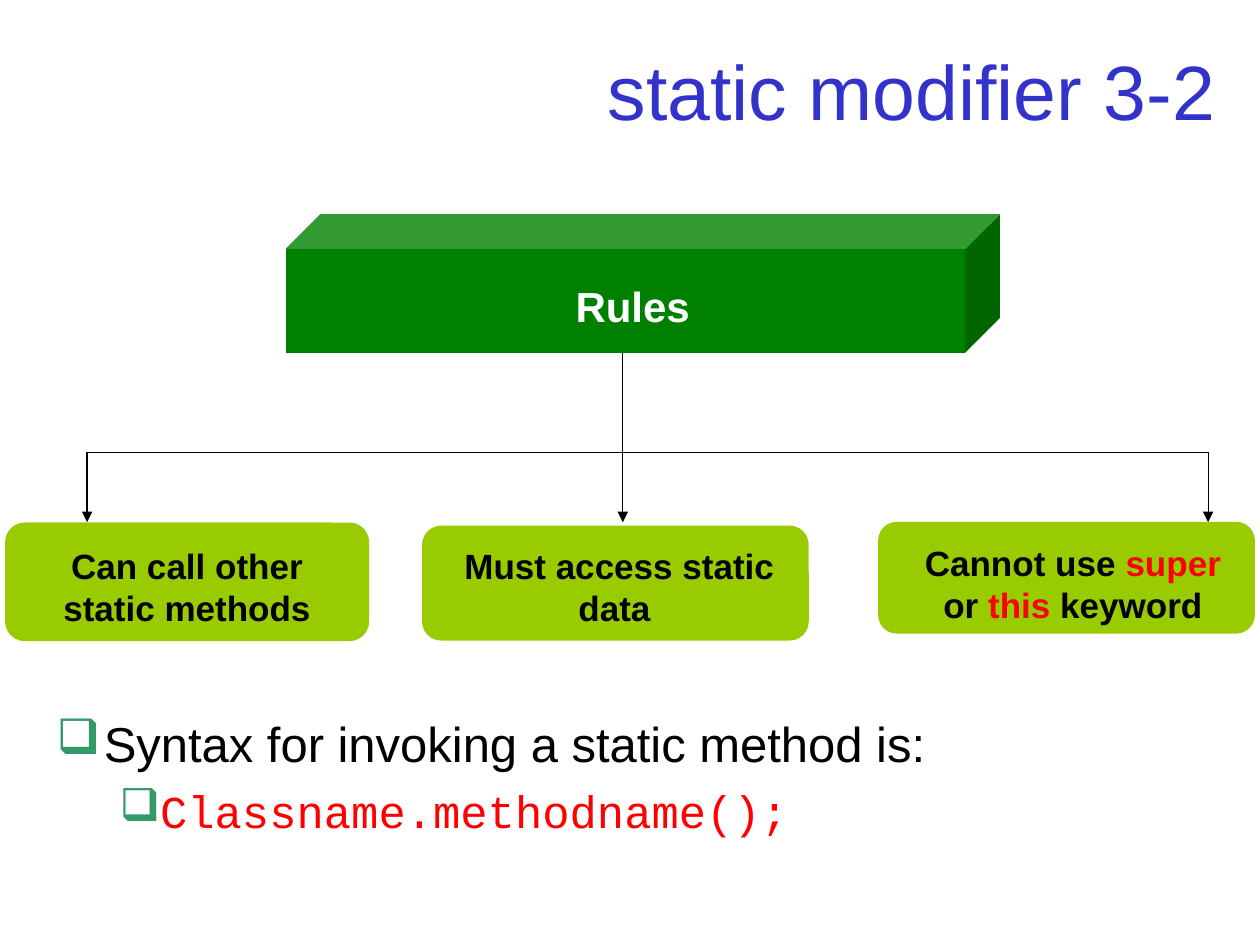
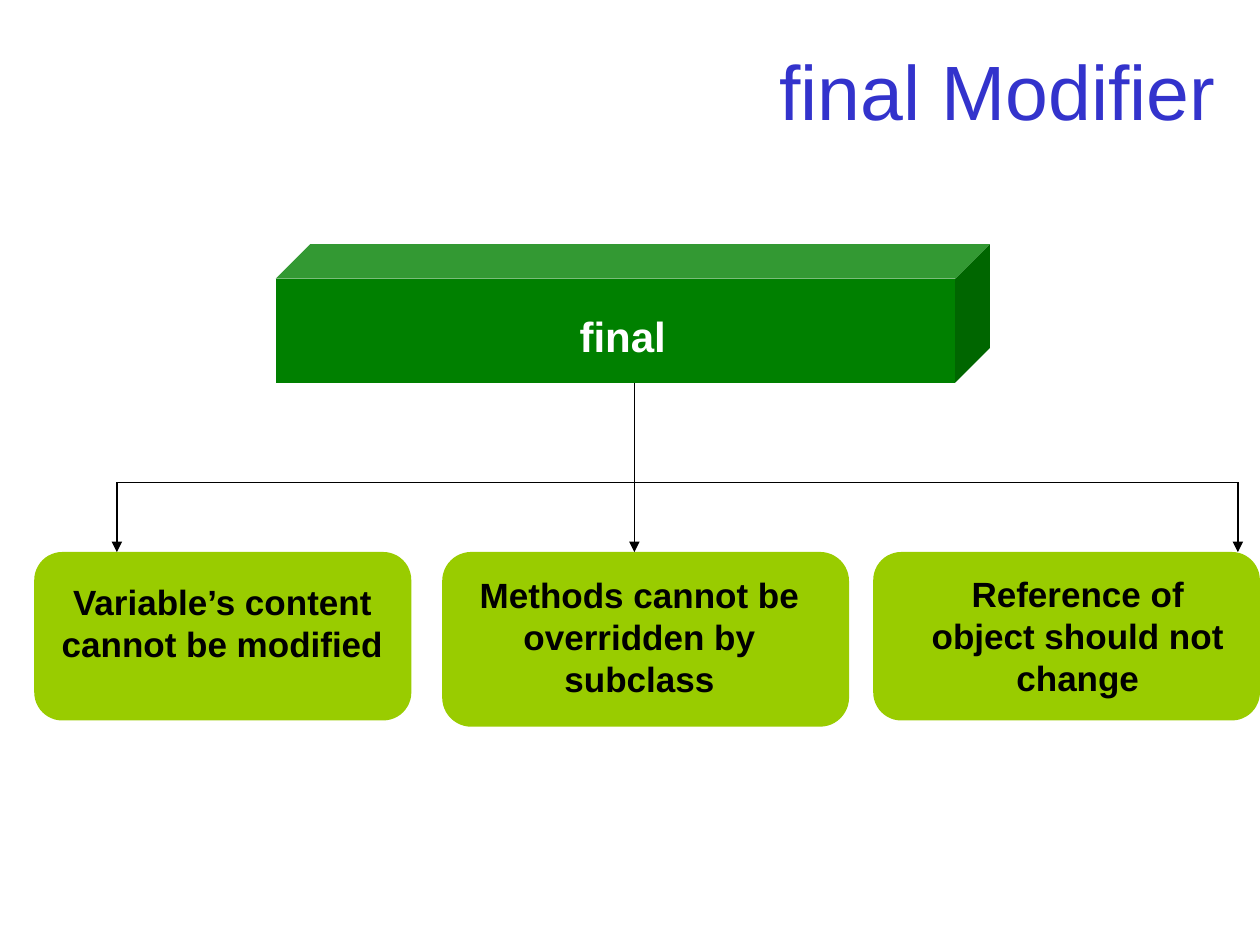
from lxml import etree
from pptx import Presentation
from pptx.dml.color import RGBColor
from pptx.enum.shapes import MSO_CONNECTOR, MSO_SHAPE
from pptx.enum.text import MSO_ANCHOR, PP_ALIGN
from pptx.oxml.ns import qn
from pptx.util import Pt

BLUE = RGBColor(0x33, 0x33, 0xCC)
GREEN = RGBColor(0x00, 0x80, 0x00)
LIME = RGBColor(0x99, 0xCC, 0x00)
TEAL = RGBColor(0x33, 0x99, 0x66)
RED = RGBColor(0xFF, 0x00, 0x00)
BLACK = RGBColor(0x00, 0x00, 0x00)
WHITE = RGBColor(0xFF, 0xFF, 0xFF)
SANS, MONO = "Arial", "Courier New"

# Distances below the top of the root cube
CUBE_W, CUBE_H = 408.2, 79.2
BUS_DROP, LEAF_DROP = 136.1, 176
BUS_W = 640.6


class Deck:
    def __init__(self):
        self.prs = Presentation()
        self.prs.slide_width, self.prs.slide_height = Pt(720), Pt(540)
        self.s = None

    def new_slide(self, title):
        self.s = self.prs.slides.add_slide(self.prs.slide_layouts[6])
        self.text(self.s.shapes, (54, 20.2, 648, 62.6), [(title, BLUE)], 44,
                  align=PP_ALIGN.RIGHT)

    def run(self, p, text, color, size, font=SANS, bold=False):
        r = p.add_run()
        r.text = text
        r.font.name, r.font.size, r.font.bold = font, Pt(size), bold
        r.font.color.rgb = color

    def frame(self, shapes, box, anchor):
        tf = shapes.add_textbox(*map(Pt, box)).text_frame
        tf.word_wrap, tf.vertical_anchor = True, anchor
        return tf

    def text(self, shapes, box, runs, size, bold=False, align=PP_ALIGN.CENTER):
        p = self.frame(shapes, box, MSO_ANCHOR.MIDDLE).paragraphs[0]
        p.alignment = align
        for text, color in runs:
            self.run(p, text, color, size, bold=bold)

    def node(self, kind, box, fill, label_box, runs, size):
        """A solid shape grouped with its bold label."""
        shapes = self.s.shapes.add_group_shape().shapes
        sp = shapes.add_shape(kind, *map(Pt, box))
        sp.shadow.inherit = False
        sp.fill.solid()
        sp.fill.fore_color.rgb = fill
        sp.line.fill.background()
        self.text(shapes, label_box, runs, size, bold=True)

    def line(self, x1, y1, x2, y2, arrow=False):
        c = self.s.shapes.add_connector(MSO_CONNECTOR.STRAIGHT,
                                        *map(Pt, (x1, y1, x2, y2)))
        c.line.color.rgb, c.line.width = BLACK, Pt(0.75)
        if arrow:
            etree.SubElement(c.line._get_or_add_ln(), qn("a:tailEnd"), type="triangle")
        etree.SubElement(c._element.spPr, qn("a:effectLst"))

    def tree(self, root, left, top, bus_left, stem_x, leaves):
        """A root cube, a branching line and the leaf boxes below it."""
        self.node(MSO_SHAPE.CUBE, (left, top, CUBE_W, CUBE_H), GREEN,
                  (left + 118.8, top + 34.4, 159.1, 36), [(root, WHITE)], 24)
        bus_y, leaf_y = top + BUS_DROP, top + LEAF_DROP
        bus_right = bus_left + BUS_W
        self.line(stem_x, top + CUBE_H, stem_x, bus_y)
        self.line(bus_left, bus_y, bus_right, bus_y)
        for box, label_box, runs in leaves:
            self.node(MSO_SHAPE.ROUNDED_RECTANGLE, box, LIME, label_box, runs, 20)
        for x in (bus_left, bus_right, stem_x):
            self.line(x, bus_y, x, leaf_y, arrow=True)

    def bullets(self, box, items):
        tf = self.frame(self.s.shapes, box, MSO_ANCHOR.TOP)
        for i, (text, color, size, font, margin, hang, before) in enumerate(items):
            p = tf.add_paragraph() if i else tf.paragraphs[0]
            pPr = p._p.get_or_add_pPr()
            pPr.set("marL", str(Pt(margin)))
            pPr.set("indent", str(-Pt(hang)))
            clr = etree.SubElement(pPr, qn("a:buClr"))
            etree.SubElement(clr, qn("a:srgbClr"), val=str(TEAL))
            etree.SubElement(pPr, qn("a:buChar"), char="❑")
            p.level = i
            if i:
                p.space_before = Pt(before)
            self.run(p, text, color, size, font)


def main():
    deck = Deck()

    # Rules for static methods
    deck.new_slide("static modifier 3-2")
    deck.tree("Rules", 163.2, 122.4, 49.8, 355.9, [
        ((2.9, 298.6, 208.1, 67.8), (7.9, 307.4, 198, 55.4),
         [("Can call other static methods", BLACK)]),
        ((241.2, 300.4, 221, 65.7), (254.9, 307.4, 198, 55.4),
         [("Must access static data ", BLACK)]),
        ((501.8, 298.2, 215.3, 63.9), (520.6, 306, 185, 55.4),
         [("Cannot use ", BLACK), ("super", RED), (" or ", BLACK),
          ("this", RED), (" keyword", BLACK)]),
    ])
    deck.bullets((25.2, 403.9, 683.3, 87.1), [
        ("Syntax for invoking a static method is:", BLACK, 28, SANS, 27, 27, 0),
        ("Classname.methodname();", RED, 26, MONO, 58.5, 22.5, 6.5),
    ])

    # Effects of final
    deck.new_slide("final Modifier")
    deck.tree("final", 157.5, 139.5, 66.8, 362.5, [
        ((19.6, 315.4, 215.5, 96.3), (24.5, 328.3, 205.2, 55.4),
         [("Variable’s content cannot be modified", BLACK)]),
        ((252.7, 315.4, 232.5, 99.9), (266.4, 324, 198, 79.2),
         [("Methods cannot be overridden by subclass", BLACK)]),
        ((499, 315.4, 221, 96.3), (523.4, 323.3, 185, 79.2),
         [("Reference of object should not change", BLACK)]),
    ])

    deck.prs.save("out.pptx")


if __name__ == "__main__":
    main()
